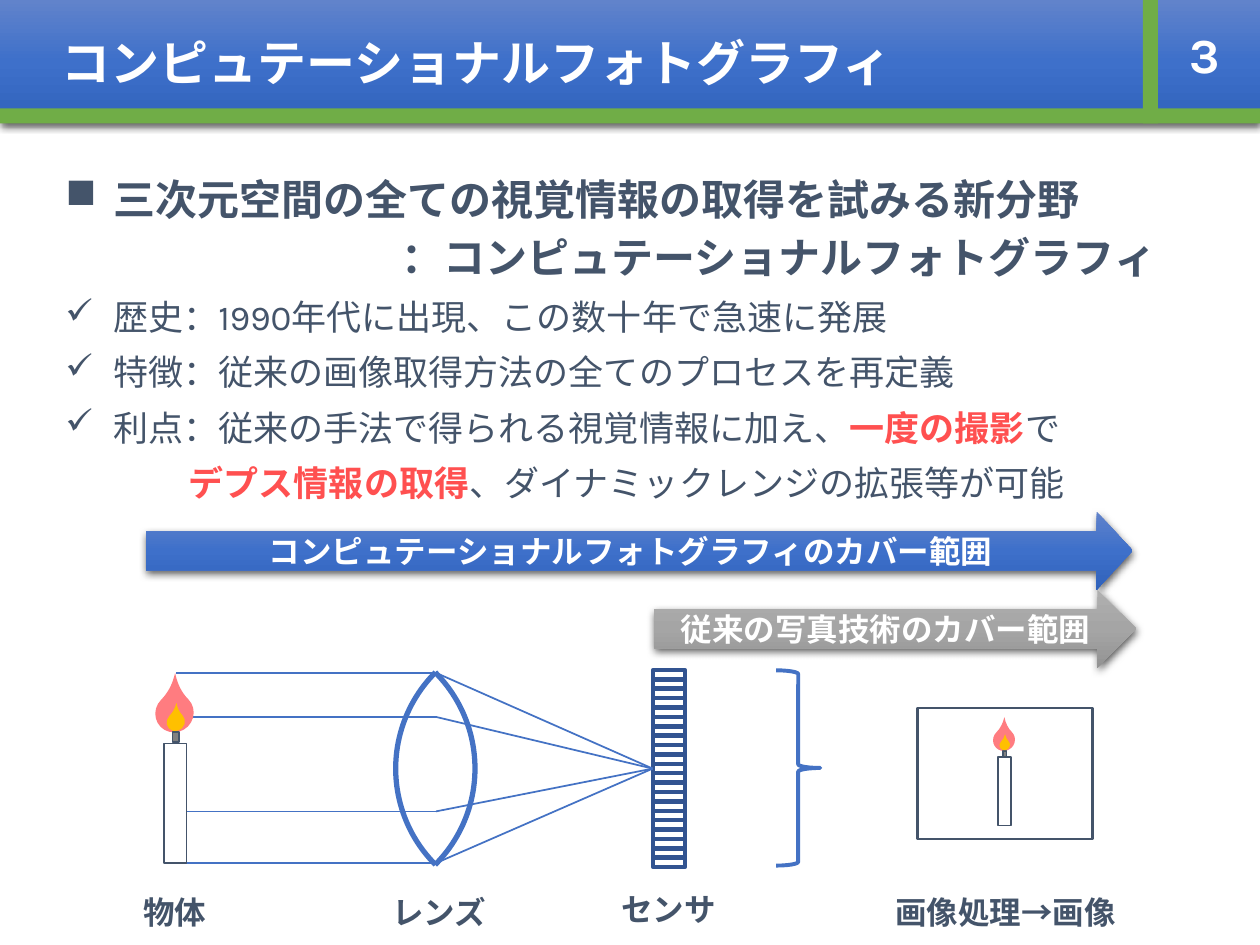
from copy import deepcopy

from lxml import etree
from pptx import Presentation
from pptx.dml.color import RGBColor
from pptx.enum import shapes, text
from pptx.oxml import ns
from pptx.util import Inches, Pt

FONT = "Karla"
WHITE = RGBColor(0xFF, 0xFF, 0xFF)
SLATE = RGBColor(0x44, 0x54, 0x6A)
RED = RGBColor(0xFF, 0x50, 0x50)
GREEN = RGBColor(0x70, 0xAD, 0x47)
BLUE = RGBColor(0x44, 0x72, 0xC4)
NAVY = RGBColor(0x32, 0x54, 0x91)
PINK = RGBColor(0xFF, 0x7C, 0x80)
AMBER = RGBColor(0xFF, 0xC0, 0x00)
WICK = RGBColor(0x80, 0x80, 0x80)
BLUES = [RGBColor(0x61, 0x83, 0xCB), RGBColor(0x3E, 0x70, 0xCA), RGBColor(0x30, 0x62, 0xBB)]
GREYS = [RGBColor(0xAF, 0xAF, 0xAF), RGBColor(0xA5, 0xA5, 0xA5), RGBColor(0x93, 0x93, 0x93)]
KIND = shapes.MSO_SHAPE
ALIGN = text.PP_ALIGN
MIDDLE = text.MSO_ANCHOR.MIDDLE

BODY = [
    ("■", 0.38, 24, [("三次元空間の全ての視覚情報の取得を試みる新分野", SLATE, True)]),
    (None, 2.67, 24, [("：コンピュテーショナルフォトグラフィ", SLATE, True)]),
    ("✓", 0.38, 20, [("歴史：1990年代に出現、この数十年で急速に発展", SLATE, False)]),
    ("✓", 0.38, 20, [("特徴：従来の画像取得方法の全てのプロセスを再定義", SLATE, False)]),
    ("✓", 0.38, 20, [("利点：従来の手法で得られる視覚情報に加え、", SLATE, False),
                     ("一度の撮影", RED, True), ("で", SLATE, False)]),
    (None, 0.98, 20, [("デプス情報の取得", RED, True),
                      ("、ダイナミックレンジの拡張等が可能", SLATE, False)]),
]


def style_run(r, size, color, bold=True):
    """Give a run its font, size, colour and weight."""
    r.font.name, r.font.size, r.font.bold = FONT, Pt(size), bold
    r.font.color.rgb = color


def write(sp, words, size, color, align=ALIGN.CENTER, anchor=MIDDLE):
    """Set one styled paragraph in a shape."""
    tf = sp.text_frame
    tf.text = words
    tf.word_wrap, tf.vertical_anchor = True, anchor
    p = tf.paragraphs[0]
    p.alignment = align
    style_run(p.runs[0], size, color)
    return p


def add_gradient(sp, colors):
    """Fill a shape with a top-to-bottom gradient and a soft drop shadow."""
    sp.fill.gradient()
    sp.fill.gradient_angle = 270
    stops = sp._element.spPr.find(".//" + ns.qn("a:gsLst"))
    stops.insert(1, deepcopy(stops[0]))
    for i, stop in enumerate(sp.fill.gradient_stops):
        stop.position, stop.color.rgb = i / 2, colors[i]
    sp.shadow.inherit = False
    effects = sp._element.spPr.find(ns.qn("a:effectLst"))
    shadow = etree.SubElement(effects, ns.qn("a:outerShdw"), blurRad=str(Pt(4.5)),
                              dist=str(Pt(1.5)), dir="5400000", algn="ctr", rotWithShape="0")
    black = etree.SubElement(shadow, ns.qn("a:srgbClr"), val="000000")
    etree.SubElement(black, ns.qn("a:alpha"), val="63000")


def add_shape(s, kind, x, y, w, h, fill=None, line=None, width=1, rotation=0, flip=False):
    """Add a flat preset shape."""
    sp = s.shapes.add_shape(kind, Inches(x), Inches(y), Inches(w), Inches(h))
    sp.shadow.inherit = False
    sp.rotation = rotation
    if fill is None:
        sp.fill.background()
    else:
        sp.fill.solid()
        sp.fill.fore_color.rgb = fill
    if line is None:
        sp.line.fill.background()
    else:
        sp.line.color.rgb, sp.line.width = line, Pt(width)
    if flip:
        sp._element.spPr.find(ns.qn("a:xfrm")).set("flipH", "1")
    return sp


def add_textbox(s, x, y, w, h):
    """Add an empty wrapping text box."""
    sp = s.shapes.add_textbox(Inches(x), Inches(y), Inches(w), Inches(h))
    sp.text_frame.word_wrap = True
    return sp


def add_label(s, words, x, y, w):
    """Add a caption below a part of the diagram."""
    p = write(add_textbox(s, x, y, w, 0.5), words, 18, SLATE, anchor=text.MSO_ANCHOR.TOP)
    p.line_spacing = 0.9


def add_ray(s, x1, y1, x2, y2):
    """Add a thin straight light ray."""
    ray = s.shapes.add_connector(shapes.MSO_CONNECTOR.STRAIGHT,
                                 Inches(x1), Inches(y1), Inches(x2), Inches(y2))
    ray.line.color.rgb, ray.line.width = BLUE, Pt(1)
    etree.SubElement(ray._element.spPr, ns.qn("a:effectLst"))
    return ray


def add_arrow(s, words, x, y, w, colors, head=0.5):
    """Add a wide gradient arrow naming a covered range."""
    sp = add_shape(s, KIND.RIGHT_ARROW, x, y, w, 0.62)
    sp.adjustments[1] = head
    add_gradient(sp, colors)
    write(sp, words, 18, WHITE)


def add_candle(s, x, y, scale=1):
    """Add a burning candle whose body starts at x, y."""
    def place(dx, dy, w, h):
        return x + dx * scale, y + dy * scale, w * scale, h * scale

    add_shape(s, KIND.RECTANGLE, *place(0, 0, 0.18, 0.95), WHITE, SLATE)
    for box, color in (((-0.07, -0.39, 0.31, 0.3), PINK), ((0.02, -0.24, 0.15, 0.14), AMBER)):
        flame = add_shape(s, KIND.TEAR, *place(*box), color, rotation=315)
        flame.adjustments[0] = 1.48
        if color == PINK:
            add_shape(s, KIND.RECTANGLE, *place(0.07, -0.09, 0.05, 0.08), WICK, SLATE)


def add_header(s):
    """Build the title band, green bars and page number."""
    title = s.shapes.title
    title.left, title.top, title.width, title.height = 0, 0, Inches(10), Inches(0.98)
    add_gradient(title, BLUES)
    write(title, "コンピュテーショナルフォトグラフィ", 28, WHITE, ALIGN.LEFT)
    title.text_frame.margin_left = Inches(0.49)
    title.text_frame.auto_size = text.MSO_AUTO_SIZE.NONE
    add_shape(s, KIND.RECTANGLE, 0, 0.86, 10, 0.12, GREEN)
    write(add_textbox(s, 9.13, 0, 0.87, 0.86), "3", 28, WHITE)
    add_shape(s, KIND.RECTANGLE, 8.64, 0.43, 0.98, 0.12, GREEN, rotation=270)


def add_body(s):
    """Write the bulleted explanation."""
    tf = add_textbox(s, 0.42, 1.37, 9.15, 4.17).text_frame
    for i, (bullet, indent, size, runs) in enumerate(BODY):
        p = tf.add_paragraph() if i else tf.paragraphs[0]
        if i:
            p.space_before = Pt(7.5)
        if size == 24:
            p.line_spacing = 0.9
        props = p._p.get_or_add_pPr()
        props.set("marL", str(Inches(indent)))
        if bullet:
            props.set("indent", str(-Inches(indent)))
            etree.SubElement(props, ns.qn("a:buChar"), char=bullet)
        for words, color, bold in runs:
            r = p.add_run()
            r.text = words
            style_run(r, size, color, bold)


def add_optics(s):
    """Draw the object, lens, sensor and resulting image."""
    cells = [add_shape(s, KIND.RECTANGLE, 5.18, 5.32 + i * 1.49 / 20, 0.26, 0.07,
                       line=NAVY, width=2.25) for i in range(21)]
    for y in (5.34, 5.69, 6.44, 6.85):
        add_ray(s, 1.4, y, 3.46, y)
        add_ray(s, 3.46, y, 5.18, 6.1).end_connect(cells[10], 1)
    for x, rotation, flip in ((1.61, 45, False), (3.14, 315, True)):
        add_shape(s, KIND.ARC, x, 5.02, 2.16, 2.16, None, BLUE, 3, rotation, flip)
    add_candle(s, 1.3, 5.9)
    add_shape(s, KIND.RIGHT_BRACE, 6.16, 5.32, 0.35, 1.55, line=BLUE, width=2.25)
    add_shape(s, KIND.RECTANGLE, 7.28, 5.62, 1.39, 1.04, line=SLATE, width=1.5)
    add_candle(s, 7.92, 6.01, 0.57)
    for words, x, y, w in (("物体", 0.78, 7.07, 1.21), ("レンズ", 2.88, 7.07, 1.21),
                           ("センサ", 3.15, 7.05, 4.31), ("画像処理→画像", 5.76, 7.07, 4.44)):
        add_label(s, words, x, y, w)


def main():
    """Build the slide and save it."""
    prs = Presentation()
    prs.slide_width, prs.slide_height = Inches(10), Inches(7.5)
    s = prs.slides.add_slide(prs.slide_layouts[5])
    add_header(s)
    add_body(s)
    add_arrow(s, "コンピュテーショナルフォトグラフィのカバー範囲", 1.16, 4.06, 7.83, BLUES, 0.46)
    add_optics(s)
    add_arrow(s, "従来の写真技術のカバー範囲", 5.19, 4.68, 3.83, GREYS)
    prs.save("out.pptx")


if __name__ == "__main__":
    main()
